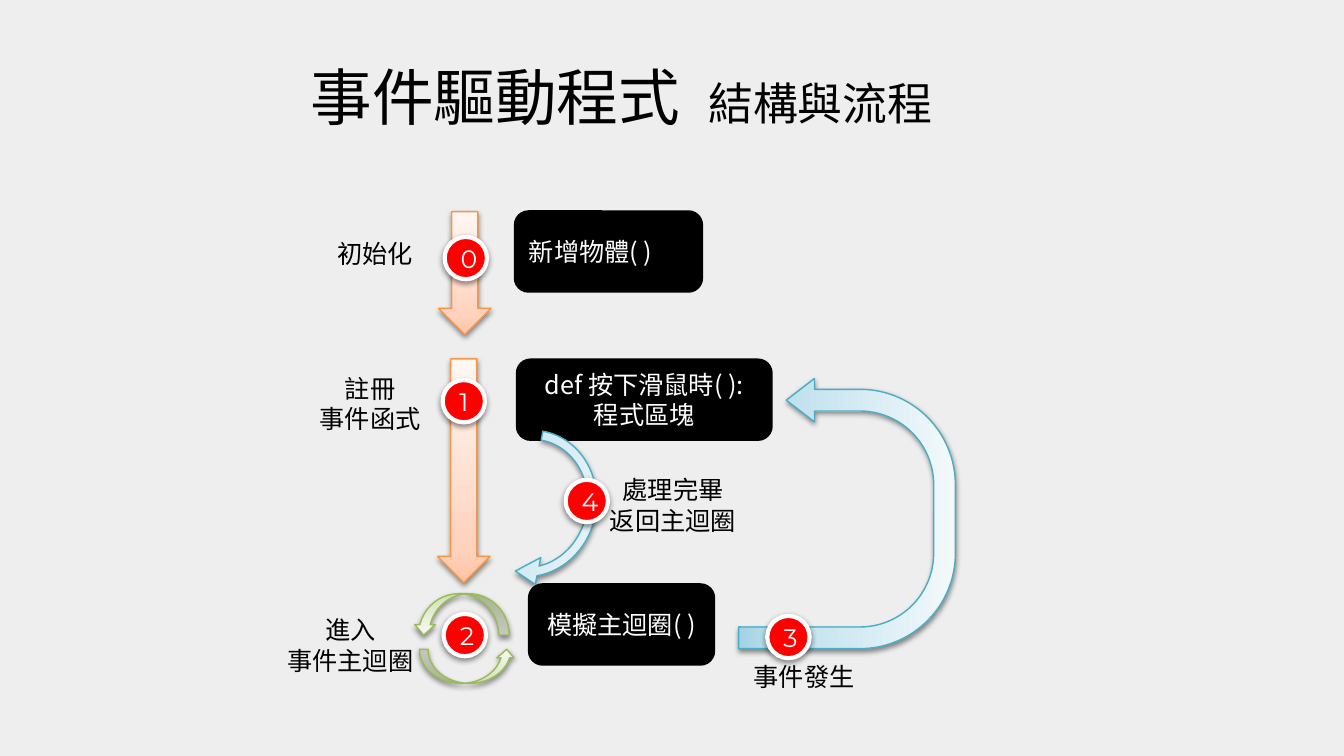
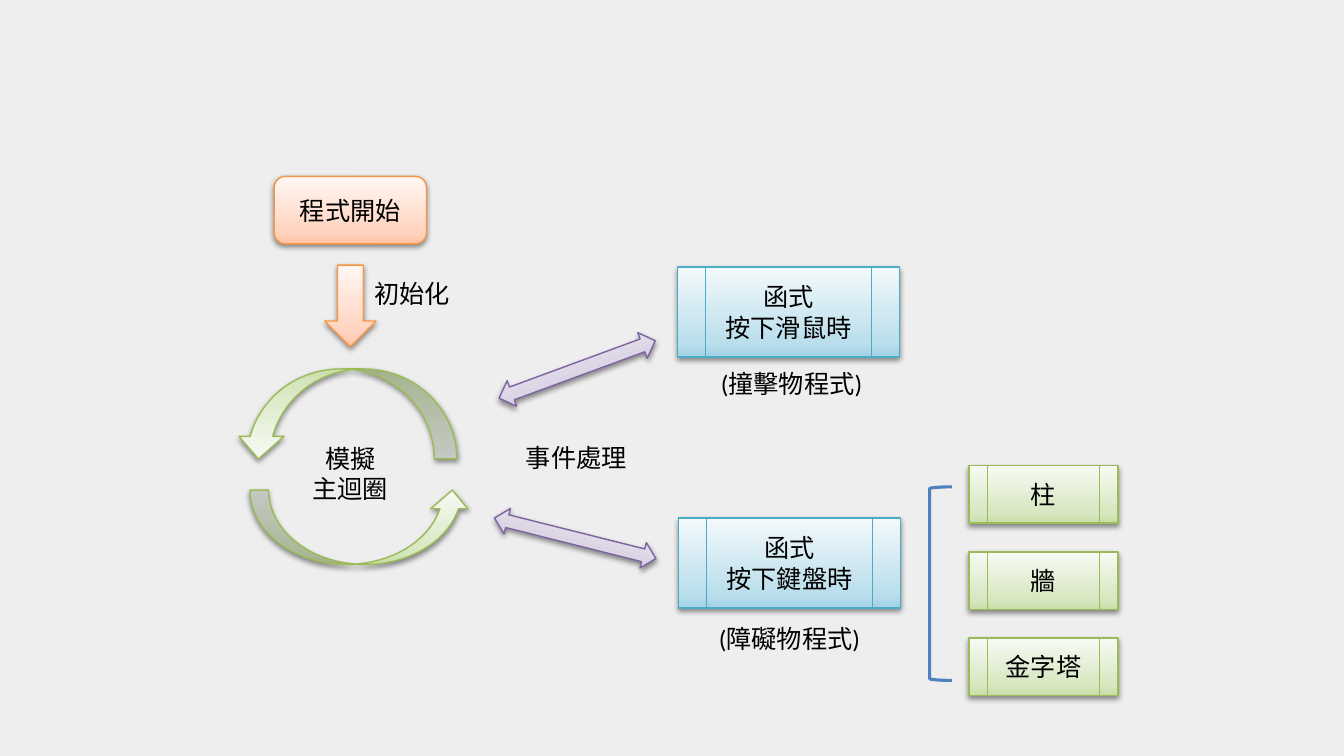
from pptx import Presentation
from pptx import util as u
from pptx.dml.color import RGBColor
from pptx.enum import shapes, text
from pptx.oxml import parse_xml
from pptx.oxml.ns import nsdecls, qn

SHAPE = shapes.MSO_SHAPE
CENTER, LEFT = text.PP_ALIGN.CENTER, text.PP_ALIGN.LEFT
BODY, CJK, DIGIT = "Calibri", "Noto Sans CJK SC", "Montserrat"
BLACK, WHITE, RED = "000000", "FFFFFF", "FF0000"
BACKGROUND, BRACKET = "EEEEEE", "4F81BD"

ORANGE = ("FFC2A3", "FFD2BD", "FFF7F3", "F79646")
GREEN = ("C7DDA6", "D6E6BE", "F7FAF4", "9BBB59")
BLUE = ("A1D2E5", "BADEEC", "F3F9FB", "4BACC6")
PURPLE = ("B9ACCD", "CCC2DB", "F6F4F8", "8064A2")


def color(value):
    return RGBColor.from_string(value)


def add_run(paragraph, words, size=18, font=BODY, fill=BLACK, spacing=0):
    run = paragraph.add_run()
    run.text = words
    run.font.size = u.Pt(size)
    run.font.name = font
    run.font.color.rgb = color(fill)
    properties = run.font._element
    if spacing:
        properties.set("spc", str(spacing * 100))
    latin = properties.find(qn("a:latin"))
    latin.addnext(parse_xml(f'<a:ea {nsdecls("a")} typeface="{CJK}"/>'))


def write(frame, lines, align=CENTER, anchor=text.MSO_ANCHOR.MIDDLE, **style):
    frame.word_wrap = True
    frame.vertical_anchor = anchor
    for index, line in enumerate(lines.split("\n")):
        paragraph = frame.add_paragraph() if index else frame.paragraphs[0]
        paragraph.alignment = align
        add_run(paragraph, line, **style)


class Deck:
    def __init__(self):
        self.presentation = Presentation()
        self.presentation.slide_width = u.Inches(13.33)
        self.presentation.slide_height = u.Inches(7.5)
        self.slide = None

    def new_slide(self):
        layout = self.presentation.slide_layouts[6]
        self.slide = self.presentation.slides.add_slide(layout)
        self.slide.background.fill.solid()
        self.slide.background.fill.fore_color.rgb = color(BACKGROUND)

    def text_box(self, left, top, width, height):
        box = self.slide.shapes.add_textbox(*map(u.Inches, (left, top, width, height)))
        box.text_frame.word_wrap = True
        return box.text_frame

    def title(self, main, detail):
        frame = self.text_box(1.6, 0.36, 9.13, 1.01)
        frame.vertical_anchor = text.MSO_ANCHOR.BOTTOM
        paragraph = frame.paragraphs[0]
        paragraph.alignment = CENTER
        add_run(paragraph, main, size=44, font=CJK)
        add_run(paragraph, " ", size=44, font=CJK, spacing=10)
        add_run(paragraph, detail, size=32, font=CJK)

    def label(self, lines, left, top, width):
        height = 0.1 + 0.3 * len(lines.split("\n"))
        frame = self.text_box(left, top, width, height)
        write(frame, lines, anchor=text.MSO_ANCHOR.TOP)

    def shape(self, kind, at, fill=None, line=BLACK, weight=1, shadow=False):
        shape = self.slide.shapes.add_shape(kind, *map(u.Inches, at))
        if fill:
            shape.fill.solid()
            shape.fill.fore_color.rgb = color(fill)
        else:
            shape.fill.background()
        shape.line.color.rgb = color(line)
        shape.line.width = u.Pt(weight)
        shape.shadow.inherit = False
        if shadow:
            effects = shape._element.spPr.find(qn("a:effectLst"))
            effects.append(parse_xml(
                f'<a:outerShdw {nsdecls("a")} blurRad="{u.Pt(4)}" dist="{u.Pt(2)}" '
                'dir="5400000" rotWithShape="0"><a:srgbClr val="000000">'
                '<a:alpha val="43000"/></a:srgbClr></a:outerShdw>'))
        return shape

    def glossy(self, kind, at, palette, lines="", rotation=0, adjustments=()):
        *shades, line = palette
        shape = self.shape(kind, at, line=line, shadow=True)
        stops = "".join(
            f'<a:gs pos="{position}000"><a:srgbClr val="{shade}"/></a:gs>'
            for position, shade in zip((0, 15, 100), shades))
        properties = shape._element.spPr
        properties.replace(properties.find(qn("a:noFill")), parse_xml(
            f'<a:gradFill {nsdecls("a")} rotWithShape="1"><a:gsLst>{stops}</a:gsLst>'
            '<a:lin ang="16200000" scaled="0"/></a:gradFill>'))
        shape.rotation = rotation
        for index, value in enumerate(adjustments):
            shape.adjustments[index] = value
        if lines:
            write(shape.text_frame, lines)
        return shape

    def code_box(self, lines, left, top, width, align=CENTER):
        box = self.shape(SHAPE.ROUNDED_RECTANGLE, (left, top, width, 0.79), BLACK, weight=2)
        write(box.text_frame, lines, align=align, font=CJK, fill=WHITE)

    def badge(self, number, left, top):
        circle = self.shape(SHAPE.OVAL, (left, top, 0.42, 0.42), RED, WHITE, 3, True)
        write(circle.text_frame, str(number), font=DIGIT, fill=WHITE)

    def loop(self, left, top, width, height):
        span = width * 0.94
        upper = self.glossy(SHAPE.CURVED_UP_ARROW, (left, top, span, height * 0.46),
                            GREEN, rotation=180)
        lower = self.glossy(SHAPE.CURVED_UP_ARROW,
                            (left + width - span, top + height * 0.62, span, height * 0.38),
                            GREEN)
        self.slide.shapes.add_group_shape([upper, lower])


def build_flow(deck):
    deck.new_slide()
    deck.glossy(SHAPE.DOWN_ARROW, (4.34, 3.56, 0.52, 2.22), ORANGE)
    deck.title("事件驅動程式", "結構與流程")
    deck.code_box("def 按下滑鼠時( ):\n程式區塊", 5.13, 3.57, 2.52)
    deck.code_box("模擬主迴圈( )", 5.25, 5.8, 1.83)
    deck.loop(4.1, 5.89, 1.01, 0.89)
    deck.glossy(SHAPE.DOWN_ARROW, (4.35, 2.1, 0.52, 1.22), ORANGE)
    event_arrow = deck.glossy(SHAPE.U_TURN_ARROW, (7.06, 4.02, 2.68, 2.15), BLUE, rotation=270,
                              adjustments=(0.1, 0.1, 0.13, 0.44, 0.78))
    event_arrow._element.spPr.find(qn("a:xfrm")).set("flipV", "1")
    deck.code_box("新增物體( )", 5.11, 2.1, 1.85, LEFT)
    deck.glossy(SHAPE.CIRCULAR_ARROW, (4.43, 4.24, 1.64, 1.51), BLUE, rotation=103.3,
                adjustments=(0.06, 11.42, 203.61, 106.39, 0.09))
    for number, (left, top) in enumerate(
            [(4.41, 2.35), (4.39, 3.77), (4.4, 6.09), (7.61, 6.11), (5.61, 4.76)]):
        deck.badge(number, left, top)
    for lines, left, top, width in [
            ("初始化", 3.06, 2.32, 1.32),
            ("註冊\n事件函式", 3.01, 3.65, 1.32),
            ("進入\n事件主迴圈", 2.72, 6.05, 1.51),
            ("事件發生", 7.33, 6.51, 1.29),
            ("處理完畢\n返回主迴圈", 5.92, 4.66, 1.51)]:
        deck.label(lines, left, top, width)


def build_handlers(deck):
    deck.new_slide()
    deck.loop(2.34, 3.66, 2.33, 1.94)
    deck.glossy(SHAPE.DOWN_ARROW, (3.22, 2.63, 0.51, 0.81), ORANGE)
    deck.glossy(SHAPE.FLOWCHART_ALTERNATE_PROCESS, (2.72, 1.75, 1.51, 0.67), ORANGE, "程式開始")
    process = SHAPE.FLOWCHART_PREDEFINED_PROCESS
    for lines, left, top in [("函式\n按下滑鼠時", 6.72, 2.65), ("函式\n按下鍵盤時", 6.73, 5.14)]:
        deck.glossy(process, (left, top, 2.2, 0.89), BLUE, lines)
    for index, obstacle in enumerate(("柱", "牆", "金字塔")):
        deck.glossy(process, (9.61, 4.62 + index * 0.855, 1.48, 0.57), GREEN, obstacle)
    deck.shape(SHAPE.LEFT_BRACKET, (9.22, 4.83, 0.22, 1.92), line=BRACKET, weight=2.25)
    for left, top, height, rotation in [(4.9, 3.53, 0.27, 339.8), (4.88, 5.21, 0.26, 14.1)]:
        deck.glossy(SHAPE.LEFT_RIGHT_ARROW, (left, top, 1.65, height), PURPLE, rotation=rotation)
    for lines, left, top, width in [
            ("模擬\n主迴圈", 2.72, 4.35, 1.51),
            ("事件處理", 5.07, 4.34, 1.29),
            ("初始化", 3.43, 2.71, 1.32),
            ("(撞擊物程式)", 7.04, 3.61, 1.62),
            ("(障礙物程式)", 7.02, 6.13, 1.62)]:
        deck.label(lines, left, top, width)


def main():
    deck = Deck()
    build_flow(deck)
    build_handlers(deck)
    deck.presentation.save("out.pptx")


if __name__ == "__main__":
    main()
